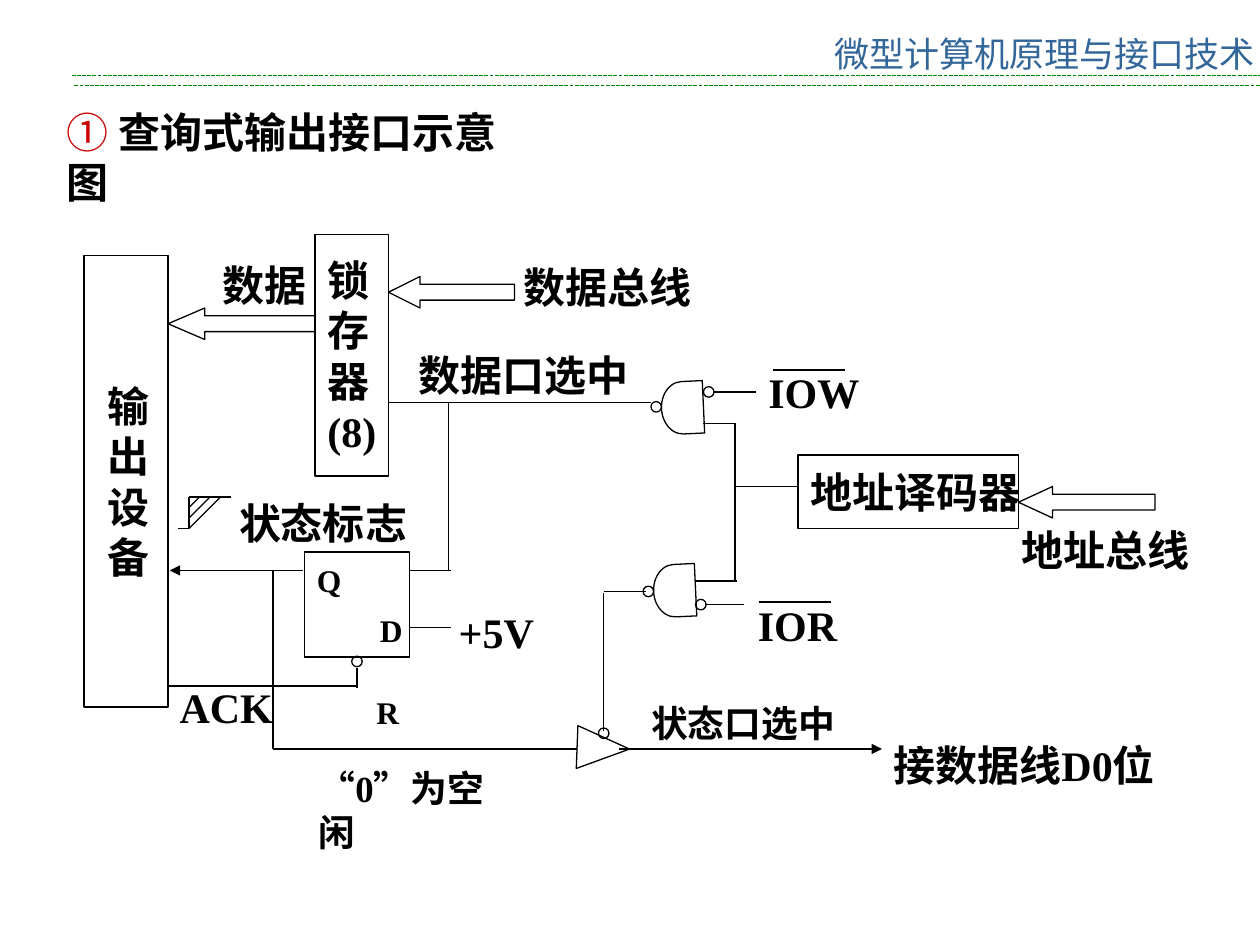
from lxml import etree
from pptx import Presentation
from pptx.dml.color import RGBColor
from pptx.enum.dml import MSO_LINE
from pptx.enum.shapes import MSO_CONNECTOR, MSO_SHAPE as SHAPE
from pptx.enum.text import MSO_ANCHOR, MSO_AUTO_SIZE, PP_ALIGN
from pptx.oxml.ns import qn
from pptx.util import Pt

BLACK, GREEN, BLUE, RED = "000000", "008000", "336699", "CC0000"
SERIF, SANS, CJK = "Times New Roman", "Arial", "Noto Sans CJK SC"
color = RGBColor.from_string

presentation = Presentation()
presentation.slide_width, presentation.slide_height = Pt(720), Pt(540)
slide = presentation.slides.add_slide(presentation.slide_layouts[5])


def write(shape, lines, size, wrap=False, font=SERIF, ink=BLACK, bold=True):
    """Fill a shape with left-aligned lines of one font."""
    frame = shape.text_frame
    frame.word_wrap = wrap
    frame.auto_size = MSO_AUTO_SIZE.NONE
    frame.text = "\n".join(lines)
    for paragraph in frame.paragraphs:
        paragraph.alignment = PP_ALIGN.LEFT
        paragraph.font.name, paragraph.font.size = font, Pt(size)
        paragraph.font.bold = bold
        paragraph.font.color.rgb = color(ink)
    return frame


def add_line(x1, y1, x2, y2, ink=BLACK):
    line = slide.shapes.add_connector(
        MSO_CONNECTOR.STRAIGHT, Pt(x1), Pt(y1), Pt(x2), Pt(y2))
    line.line.color.rgb = color(ink)
    line.line.width = Pt(0.75)
    etree.SubElement(line._element.spPr, qn("a:effectLst"))
    return line


# Title and page header
title = slide.shapes.title
title.left, title.top, title.width, title.height = Pt(31), Pt(57), Pt(281.5), Pt(36)
frame = write(title, ["① "], 24, wrap=True)
frame.vertical_anchor = MSO_ANCHOR.TOP
number = frame.paragraphs[0].runs[0]
number.font.name, number.font.bold = SANS, False
number.font.color.rgb = color(RED)
frame.paragraphs[0].add_run().text = "查询式输出接口示意图"

header = slide.shapes.add_textbox(Pt(496), Pt(15), Pt(202), Pt(20))
frame = write(header, ["微型计算机原理与接口技术"], 20, font=CJK, ink=BLUE, bold=False)
frame.paragraphs[0].alignment = PP_ALIGN.CENTER
for left, y in [(41, 43), (42.5, 49)]:
    add_line(left, y, 720, y, GREEN).line.dash_style = MSO_LINE.SQUARE_DOT

# Outlined blocks, gates, bubbles and bus arrows
blocks = {}
outlines = [
    ("latch", SHAPE.RECTANGLE, 180, 134, 42, 138, 0),
    ("decoder", SHAPE.RECTANGLE, 456, 260, 126, 42, 0),
    ("device", SHAPE.RECTANGLE, 48, 146, 48, 258, 0),
    ("flip-flop", SHAPE.RECTANGLE, 174, 315.5, 60, 60, 0),
    ("write gate", SHAPE.FLOWCHART_DELAY, 378, 218, 24, 30, 177.3),
    ("read gate", SHAPE.FLOWCHART_DELAY, 373.5, 322.5, 24, 30, 177.3),
    ("buffer", SHAPE.FLOWCHART_EXTRACT, 332.5, 412.5, 24.5, 30, 92.2),
    ("device bus", SHAPE.LEFT_ARROW, 96, 176, 84, 18, 0),
    ("data bus", SHAPE.LEFT_ARROW, 222, 158, 72, 18, 0),
    ("address bus", SHAPE.LEFT_ARROW, 582, 278, 78, 18, 0),
]
bubbles = [(201, 375), (342, 416), (372, 229.5), (402, 221), (367.5, 335), (397.5, 342.5)]
outlines += [("bubble", SHAPE.FLOWCHART_CONNECTOR, x, y, 6, 6, 0) for x, y in bubbles]
for name, kind, left, top, width, height, rotation in outlines:
    shape = slide.shapes.add_shape(kind, Pt(left), Pt(top), Pt(width), Pt(height))
    shape.rotation = rotation
    shape.shadow.inherit = False
    shape.fill.background()
    shape.line.color.rgb = color(BLACK)
    shape.line.width = Pt(0.75)
    if kind == SHAPE.LEFT_ARROW:
        shape.adjustments[1] = width / 72
    blocks[name] = shape

write(blocks["latch"], ["锁", "存", "器", "(8)"], 24)
write(blocks["decoder"], ["地址译码器"], 24)
write(blocks["device"], "输出设备", 24).margin_left = Pt(13.5)
frame = write(blocks["flip-flop"], "QD", 18, wrap=True)
frame.margin_right = Pt(4)
frame.paragraphs[1].alignment = PP_ALIGN.RIGHT
frame.paragraphs[1].space_before = Pt(7)

# Wires
wires = [
    (222, 230, 372, 230), (256.5, 230, 256.5, 326), (234, 326, 258, 326),
    (408, 224, 432, 224), (402, 242, 420, 242), (420, 242, 420, 332),
    (420, 278, 456, 278), (397.5, 332, 421, 332), (403, 345.5, 425, 345.5),
    (345, 338, 369, 338), (345, 339, 345, 417.5), (234, 358.5, 258, 358.5),
    (204, 381.5, 204, 393), (204, 392, 96, 392),
    (156, 326, 156, 428), (156, 428, 330, 428),
]
overbars = [(441.5, 211.5, 483, 211.5), (433.5, 344, 475, 344)]
edge_symbol = [(108, 284, 132, 284), (108, 284, 108, 302), (108, 302, 102, 302)]
edge_symbol += [(108 + step, 284, 108, 284 + step) for step in (6, 12, 18)]
for ends in wires + overbars + edge_symbol:
    add_line(*ends)
for ends in [(354, 428, 504, 428), (173, 326, 97, 326)]:
    arrow = add_line(*ends)
    etree.SubElement(arrow.line._get_or_add_ln(), qn("a:tailEnd"), type="triangle")

# Labels: text, left, top, width, size, wrap
labels = [
    ("数据", 120, 145, 62, 24, False),
    ("数据总线", 292, 146, 110, 24, False),
    ("数据口选中", 232, 196, 134, 24, False),
    ("IOW", 432, 206, 66, 24, False),
    ("IOR", 426, 339, 60, 24, True),
    ("地址总线", 576.5, 296, 110, 24, False),
    ("状态标志", 129.5, 281, 110, 24, False),
    ("+5V", 255, 343, 69, 24, True),
    ("ACK", 95.5, 386, 68, 24, False),
    ("R", 208, 392.5, 56, 18, True),
    ("状态口选中", 365, 397, 120, 21, False),
    ("接数据线D0位", 503.5, 419, 175, 24, False),
    ("“0”为空闲", 175, 434, 116.5, 21, True),
]
for text, left, top, width, size, wrap in labels:
    box = slide.shapes.add_textbox(Pt(left), Pt(top), Pt(width), Pt(1.5 * size))
    write(box, [text], size, wrap)

presentation.save("out.pptx")
